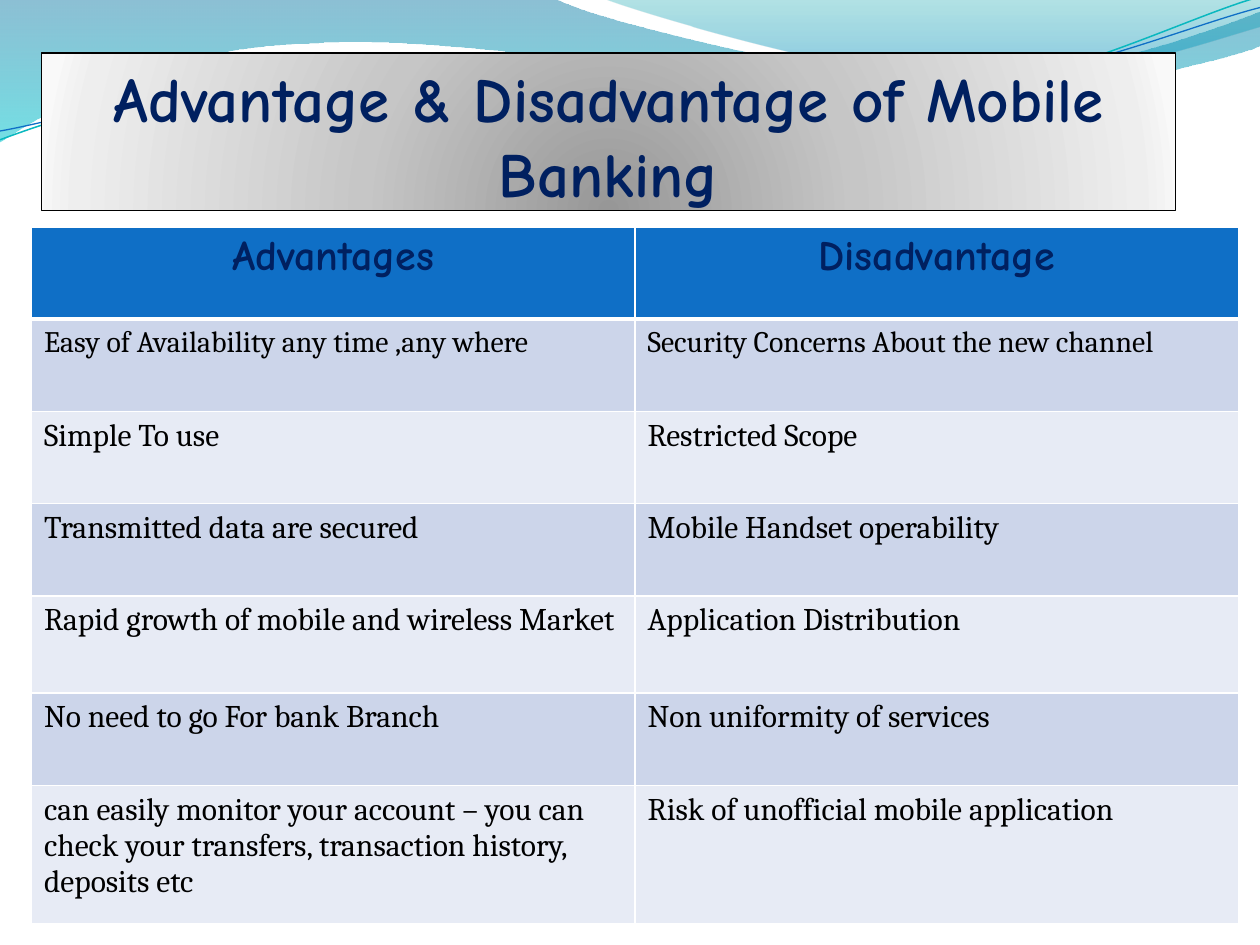
from lxml import etree
from pptx import Presentation
from pptx.dml.color import RGBColor
from pptx.enum import text
from pptx.oxml import parse_xml
from pptx.oxml.ns import nsdecls, qn
from pptx.util import Inches, Pt

TITLE = "Advantage & Disadvantage of Mobile Banking"
HEAD = ("Advantages", "Disadvantage")
ROWS = [
    ("Easy of Availability any time ,any where", "Security Concerns About the new channel"),
    ("Simple To use", "Restricted Scope"),
    ("Transmitted data are secured", "Mobile Handset operability"),
    ("Rapid growth of mobile and wireless Market", "Application Distribution"),
    ("No need to go For bank Branch", "Non uniformity of services"),
    ("can easily monitor your account – you can check your transfers, "
     "transaction history, deposits etc", "Risk of unofficial mobile application"),
]
TABLE_HEIGHT = 5.53
HEIGHTS = (0.73, 0.73, 0.73, 0.73, 0.77, 0.73, 1.09)
BANDS = ("CCD5EA", "E7EBF5")
NAVY, BLUE, WHITE, BLACK = "002060", "0F6FC6", "FFFFFF", "000000"
HEAD_FONT, BODY_FONT = "Comic Neue", "Cambria"

WAVE_BANDS = [
    ([[(0, 0)], [(4.4, -0.01)],
      [(4.76, 0.17), (6.64, 0.63), (7.58, 0.63)],
      [(8.53, 0.63), (9.58, 0.26), (10, 0.09)], [(10.01, 0.36)],
      [(9.83, 0.44), (8.7, 0.76), (7.46, 0.75)],
      [(6.22, 0.75), (3.82, 0.28), (2.57, 0.34)],
      [(1.29, 0.36), (0.46, 0.83), (-0.01, 1.13)], [(0, 0)]],
     [(0, "0074A1", 45), (100, "00C6CF", 55)]),
    ([[(4.79, -0.01)],
      [(5.09, 0.11), (6.82, 0.62), (7.69, 0.65)],
      [(8.56, 0.69), (9.61, 0.32), (10, 0.21)], [(10, 0)], [(4.79, -0.01)]],
     [(0, "00A1A9", 30), (80, "008BBF", 45)]),
]
WAVE_LINES = [
    ([[(0, 1.11)],
      [(0.48, 0.93), (1.58, 0.57), (2.77, 0.52)],
      [(3.95, 0.47), (5.93, 0.89), (7.13, 0.8)],
      [(8.33, 0.71), (9.38, 0.15), (9.98, -0.02)]], "0AB8BF", 0.85),
    ([[(0, 1.04)],
      [(0.47, 0.96), (1.64, 0.61), (2.83, 0.56)],
      [(4.03, 0.51), (5.97, 0.84), (7.17, 0.75)],
      [(8.36, 0.67), (9.41, 0.21), (10, 0.06)]], BLUE, 0.75),
]
TITLE_STOPS = [(0, "979797", 100), (43, "C6C6C6", 100),
               (93, "EEEEEE", 100), (100, "F9F9F9", 100)]
DOWN = '<a:lin ang="5400000" scaled="0"/>'
RADIAL = ('<a:path path="circle"><a:fillToRect l="50000" t="130000" '
          'r="50000" b="-30000"/></a:path>')


def rgb(value):
    return RGBColor.from_string(value)


def set_gradient(sp, stops, direction):
    sp.fill.background()
    gs = "".join(
        f'<a:gs pos="{pos * 1000}"><a:srgbClr val="{c}">'
        f'<a:alpha val="{alpha * 1000}"/></a:srgbClr></a:gs>'
        for pos, c, alpha in stops)
    grad = parse_xml(f'<a:gradFill {nsdecls("a")} rotWithShape="1">'
                     f'<a:gsLst>{gs}</a:gsLst>{direction}</a:gradFill>')
    spPr = sp._element.spPr
    spPr.replace(spPr.find(qn("a:noFill")), grad)


def add_curve(s, steps, close):
    pts = [(Inches(x), Inches(y)) for step in steps for x, y in step]
    fb = s.shapes.build_freeform(*pts[0], scale=1.0)
    fb.add_line_segments(pts[1:], close=close)
    sp = fb.convert_to_shape()
    sp.shadow.inherit = False
    outline = next(sp._element.iter(qn("a:path")))
    lines = iter(outline.findall(qn("a:lnTo")))
    for step in steps[1:]:
        first, *rest = [next(lines) for _ in step]
        if rest:
            first.tag = qn("a:cubicBezTo")
        for ln in rest:
            first.append(ln[0])
            outline.remove(ln)
    return sp


def style_text(tf, font, size, color, bold, align):
    for p in tf.paragraphs:
        p.alignment = align
        for r in p.runs:
            r.font.name, r.font.size, r.font.bold = font, Pt(size), bold
            r.font.color.rgb = rgb(color)


def set_borders(cell, bottom):
    tcPr = cell._tc.get_or_add_tcPr()
    for i, (side, width) in enumerate((("L", 1), ("R", 1), ("T", 1), ("B", bottom))):
        ln = etree.Element(qn(f"a:ln{side}"), w=str(Pt(width)))
        fill = etree.SubElement(ln, qn("a:solidFill"))
        etree.SubElement(fill, qn("a:srgbClr"), val=WHITE)
        tcPr.insert(i, ln)


def add_title(s):
    sp = s.shapes.title
    sp.left, sp.top, sp.width, sp.height = map(Inches, (0.33, 0.42, 9, 1.25))
    set_gradient(sp, TITLE_STOPS, RADIAL)
    sp.line.color.rgb = rgb(BLACK)
    sp.line.width = Pt(0.75)
    sp.shadow.inherit = False
    tf = sp.text_frame
    tf.text = TITLE
    tf.word_wrap = True
    tf.auto_size = text.MSO_AUTO_SIZE.NONE
    tf.vertical_anchor = text.MSO_ANCHOR.BOTTOM
    tf.margin_left = tf.margin_right = tf.margin_bottom = 0
    tf.margin_top = Inches(0.05)
    style_text(tf, HEAD_FONT, 36, NAVY, True, text.PP_ALIGN.CENTER)
    s.shapes._spTree.append(sp._element)


def add_comparison(s):
    rows = [HEAD] + ROWS
    table = s.shapes.add_table(len(rows), len(HEAD), Inches(0.25), Inches(1.8),
                               Inches(9.58), Inches(TABLE_HEIGHT)).table
    for i, (row, height) in enumerate(zip(rows, HEIGHTS)):
        table.rows[i].height = Inches(TABLE_HEIGHT * height / sum(HEIGHTS))
        for j, words in enumerate(row):
            cell = table.cell(i, j)
            cell.text_frame.text = words
            cell.fill.solid()
            cell.fill.fore_color.rgb = rgb(BANDS[(i - 1) % 2] if i else BLUE)
            set_borders(cell, 1 if i else 3)
            if i:
                style_text(cell.text_frame, BODY_FONT, 17 if i == 1 else 18,
                           BLACK, False, text.PP_ALIGN.LEFT)
            else:
                style_text(cell.text_frame, HEAD_FONT, 24, NAVY, True,
                           text.PP_ALIGN.CENTER)


def main():
    prs = Presentation()
    prs.slide_width, prs.slide_height = Inches(10), Inches(7.5)
    s = prs.slides.add_slide(prs.slide_layouts[5])
    for steps, stops in WAVE_BANDS:
        sp = add_curve(s, steps, True)
        set_gradient(sp, stops, DOWN)
        sp.line.fill.background()
    for steps, color, width in WAVE_LINES:
        sp = add_curve(s, steps, False)
        sp.fill.background()
        sp.line.color.rgb = rgb(color)
        sp.line.width = Pt(width)
    add_title(s)
    add_comparison(s)
    prs.save("out.pptx")


if __name__ == "__main__":
    main()
